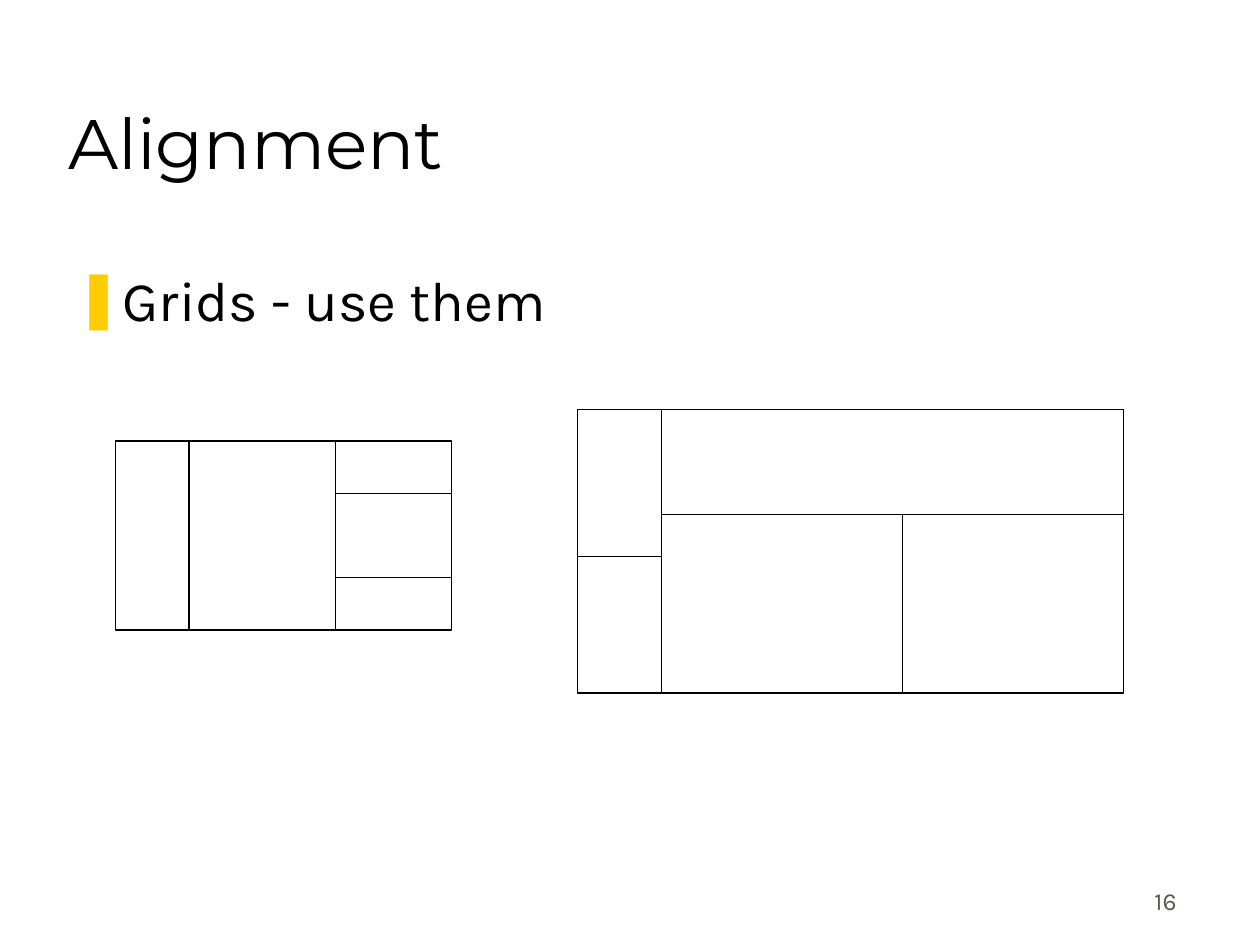
"""Build the Alignment slide with two sample layout grids."""
from lxml.etree import SubElement
from pptx import Presentation
from pptx.dml.color import RGBColor
from pptx.enum.shapes import MSO_CONNECTOR as Connector, MSO_SHAPE as Shape
from pptx.enum.text import MSO_ANCHOR as Anchor, MSO_AUTO_SIZE as AutoSize, PP_ALIGN as Align
from pptx.oxml.ns import qn
from pptx.util import Cm, Pt

BLACK, WHITE, YELLOW, GREY = "000000", "FFFFFF", "FFCC00", "5E574E"
TITLE = {"text": "Alignment", "area": (1.12, 0.64, 21.59, 3.18), "anchor": Anchor.BOTTOM,
         "align": Align.LEFT, "color": BLACK, "font": {"name": "Montserrat", "size": Pt(40)}}
BODY = {"text": "Grids - use them", "area": (1.27, 5.23, 22.71, 11.58), "anchor": Anchor.TOP,
        "align": Align.LEFT, "color": BLACK, "font": {"name": "Karla", "size": Pt(32)}}
NUMBER = {"text": "16", "area": (18.69, 17.3, 5.28, 1.27), "anchor": Anchor.BOTTOM,
          "align": Align.RIGHT, "color": GREY, "font": {"name": "Karla", "size": Pt(14)}}
GRIDS = [
    {"columns": (2.33, 3.81, 6.77, 9.1), "rows": (8.89, 9.95, 11.64, 12.7),
     "dividers": [((1, 0), (1, 3)), ((2, 0), (2, 3)), ((2, 1), (3, 1)), ((2, 2), (3, 2))]},
    {"columns": (11.64, 13.34, 18.2, 22.65), "rows": (8.26, 10.37, 11.22, 13.97),
     "dividers": [((1, 0), (1, 3)), ((1, 1), (3, 1)), ((2, 1), (2, 3)), ((0, 2), (1, 2))]},
]


def rgb(color):
    return RGBColor.from_string(color)


def set_attributes(target, values):
    for name, value in values.items():
        setattr(target, name, value)


def style_line(line):
    line.color.rgb = rgb(BLACK)
    line.width = Pt(0.75)


def add_bullet(para, symbol, color, indent):
    properties = para._p.get_or_add_pPr()
    properties.set("marL", str(indent))
    properties.set("indent", str(-indent))
    bullet_color = SubElement(properties, qn("a:buClr"))
    SubElement(bullet_color, qn("a:srgbClr")).set("val", color)
    SubElement(properties, qn("a:buFont")).set("typeface", "Karla")
    SubElement(properties, qn("a:buChar")).set("char", symbol)


def write_text(box, content):
    left, top, width, height = map(Cm, content["area"])
    set_attributes(box, {"left": left, "top": top, "width": width, "height": height})
    set_attributes(box.text_frame, {"word_wrap": True, "auto_size": AutoSize.NONE,
                                    "vertical_anchor": content["anchor"]})
    para = box.text_frame.paragraphs[0]
    set_attributes(para, {"alignment": content["align"], "space_before": Pt(0)})
    span = para.add_run()
    span.text = content["text"]
    set_attributes(span.font, content["font"])
    span.font.color.rgb = rgb(content["color"])
    return para


def draw_grid(page, grid):
    columns = [Cm(x) for x in grid["columns"]]
    rows = [Cm(y) for y in grid["rows"]]
    frame = page.shapes.add_shape(Shape.RECTANGLE, columns[0], rows[0],
                                  columns[-1] - columns[0], rows[-1] - rows[0])
    frame.shadow.inherit = False
    frame.fill.solid()
    frame.fill.fore_color.rgb = rgb(WHITE)
    style_line(frame.line)
    for (start_column, start_row), (end_column, end_row) in grid["dividers"]:
        divider = page.shapes.add_connector(Connector.STRAIGHT, columns[start_column], rows[start_row],
                                            columns[end_column], rows[end_row])
        SubElement(divider._element.spPr, qn("a:effectLst"))
        style_line(divider.line)


def main():
    deck = Presentation()
    set_attributes(deck, {"slide_width": Cm(25.4), "slide_height": Cm(19.05)})
    page = deck.slides.add_slide(deck.slide_layouts[1])
    write_text(page.shapes.title, TITLE)
    add_bullet(write_text(page.placeholders[1], BODY), "❚", YELLOW, Cm(0.95))
    for grid in GRIDS:
        draw_grid(page, grid)
    number_box = page.shapes.add_textbox(*map(Cm, NUMBER["area"]))
    write_text(number_box, NUMBER)
    deck.save("out.pptx")


if __name__ == "__main__":
    main()
